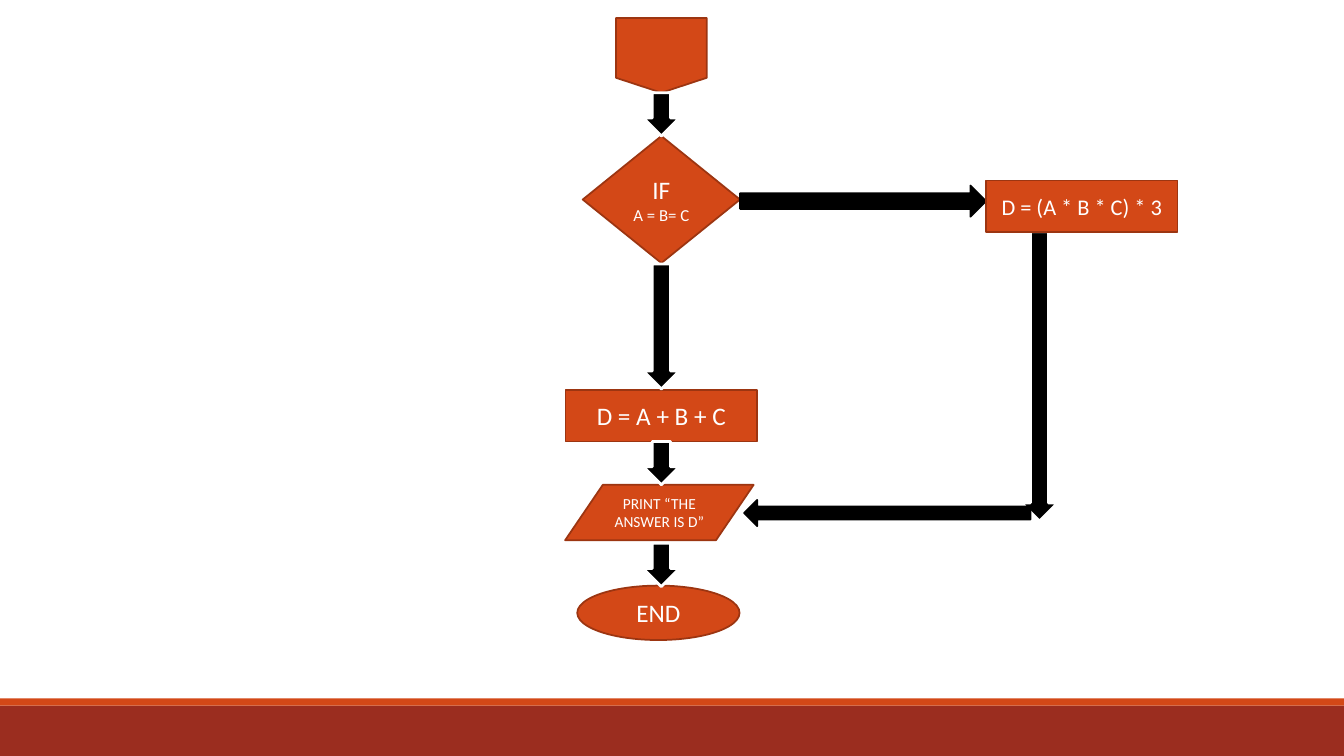
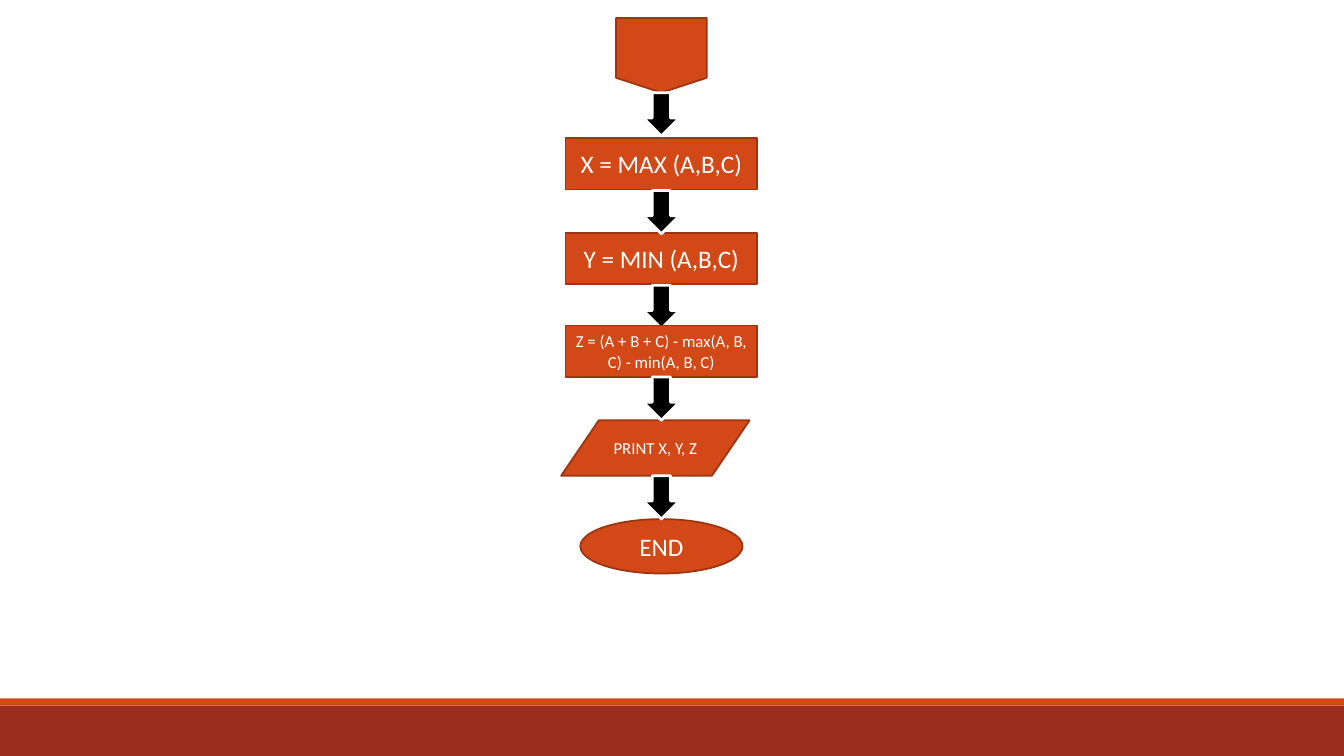
from pptx import Presentation
from pptx.dml.color import RGBColor
from pptx.enum.shapes import MSO_SHAPE
from pptx.enum.text import MSO_ANCHOR, PP_ALIGN
from pptx.util import Inches, Pt

ORANGE = RGBColor(0xD3, 0x48, 0x17)
DARK_ORANGE = RGBColor(0x9C, 0x35, 0x11)
RED = RGBColor(0x9B, 0x2D, 0x1F)
BLACK = RGBColor(0, 0, 0)
WHITE = RGBColor(0xFF, 0xFF, 0xFF)

FONT = "Calibri"
SLIDE_W, SLIDE_H = 13.33, 7.5
CENTER = 6.56  # axis of the main flow
ARROW_W, ARROW_H = 0.36, 0.43

# Flowchart symbols: preset shape, width, height
LINK = (MSO_SHAPE.FLOWCHART_OFFPAGE_CONNECTOR, 0.9, 0.74)
DECISION = (MSO_SHAPE.FLOWCHART_DECISION, 1.56, 1.26)
PROCESS = (MSO_SHAPE.RECTANGLE, 1.9, 0.51)
OUTPUT = (MSO_SHAPE.FLOWCHART_DATA, 1.87, 0.55)
END = (MSO_SHAPE.OVAL, 1.61, 0.54)


def add_shape(s, kind, left, top, width, height, fill, line=None, weight=1.25):
    """Add a flat preset shape, outlined when a line colour is given."""
    sp = s.shapes.add_shape(kind, Inches(left), Inches(top), Inches(width), Inches(height))
    sp.shadow.inherit = False
    sp.fill.solid()
    sp.fill.fore_color.rgb = fill
    if line is None:
        sp.line.fill.background()
    else:
        sp.line.color.rgb = line
        sp.line.width = Pt(weight)
    return sp


def add_text(sp, text, size=18, font=FONT, color=WHITE, first=True):
    """Write a centred paragraph into a shape, as its first or a further one."""
    tf = sp.text_frame
    tf.word_wrap = True
    tf.vertical_anchor = MSO_ANCHOR.MIDDLE
    p = tf.paragraphs[0] if first else tf.add_paragraph()
    p.alignment = PP_ALIGN.CENTER
    r = p.add_run()
    r.text = text
    r.font.size = Pt(size)
    r.font.name = font
    r.font.color.rgb = color


# Per slide: symbols as (symbol, centre x, top, [(text, size), ...]),
# down arrows as (centre x, top, height), side arrows as (shape, left, top, width, height)
flowcharts = [
    {
        "symbols": [
            (LINK, CENTER, 0.18, []),
            (DECISION, CENTER, 1.35, [("IF", 18), ("A = B= C", 12)]),
            (PROCESS, CENTER, 3.87, [("D = A + B + C", 18)]),
            (OUTPUT, 6.54, 4.81, [("PRINT “THE ANSWER IS D”", 11)]),
            (END, 6.53, 5.81, [("END", 18)]),
        ],
        "down": [(CENTER, 0.92, ARROW_H), (CENTER, 2.62, 1.24), (CENTER, 4.38, ARROW_H),
                 (CENTER, 5.39, ARROW_H), (10.31, 2.3, 2.87)],
        "side": [(MSO_SHAPE.RIGHT_ARROW, 7.34, 1.84, 2.44, 0.31),
                 (MSO_SHAPE.LEFT_ARROW, 7.38, 4.96, 2.84, 0.26)],
        "branch": [(PROCESS, 10.73, 1.79, [("D = (A * B * C) * 3", 16)])],
    },
    {
        "symbols": [
            (LINK, CENTER, 0.18, []),
            (PROCESS, CENTER, 1.37, [("X = MAX (A,B,C)", 18)]),
            (PROCESS, CENTER, 2.31, [("Y = MIN (A,B,C)", 18)]),
            (OUTPUT, 6.5, 4.17, [("PRINT X, Y, Z", 12)]),
            (END, CENTER, 5.15, [("END", 18)]),
        ],
        "down": [(CENTER, top, ARROW_H) for top in (0.92, 1.89, 2.83, 3.74, 4.72)],
        "side": [],
        "branch": [(PROCESS, CENTER, 3.23,
                    [("Z = (A + B + C) - max(A, B, C) - min(A, B, C)", 12)])],
    },
]
# The Z step covers the tip of the arrow above it but not the arrow below it
flowcharts[1]["late_down"] = [flowcharts[1]["down"].pop(3)]

prs = Presentation()
prs.slide_width, prs.slide_height = Inches(SLIDE_W), Inches(SLIDE_H)

for chart in flowcharts:
    s = prs.slides.add_slide(prs.slide_layouts[6])
    for top, height, color in ((7, 0.5, RED), (6.93, 0.07, ORANGE)):
        add_shape(s, MSO_SHAPE.RECTANGLE, 0, top, SLIDE_W, height, color)

    for symbols, down in ((chart["symbols"], chart["down"]),
                          (chart["branch"], chart.get("late_down", []))):
        for (kind, width, height), x, top, lines in symbols:
            sp = add_shape(s, kind, x - width / 2, top, width, height, ORANGE, DARK_ORANGE)
            for i, (text, size) in enumerate(lines):
                add_text(sp, text, size=size, first=i == 0)
        for x, top, height in down:
            add_shape(s, MSO_SHAPE.DOWN_ARROW, x - ARROW_W / 2, top, ARROW_W, height,
                      BLACK, WHITE, weight=2)
        if symbols is chart["symbols"]:
            for kind, left, top, width, height in chart["side"]:
                add_shape(s, kind, left, top, width, height, BLACK, BLACK)

prs.save("out.pptx")
